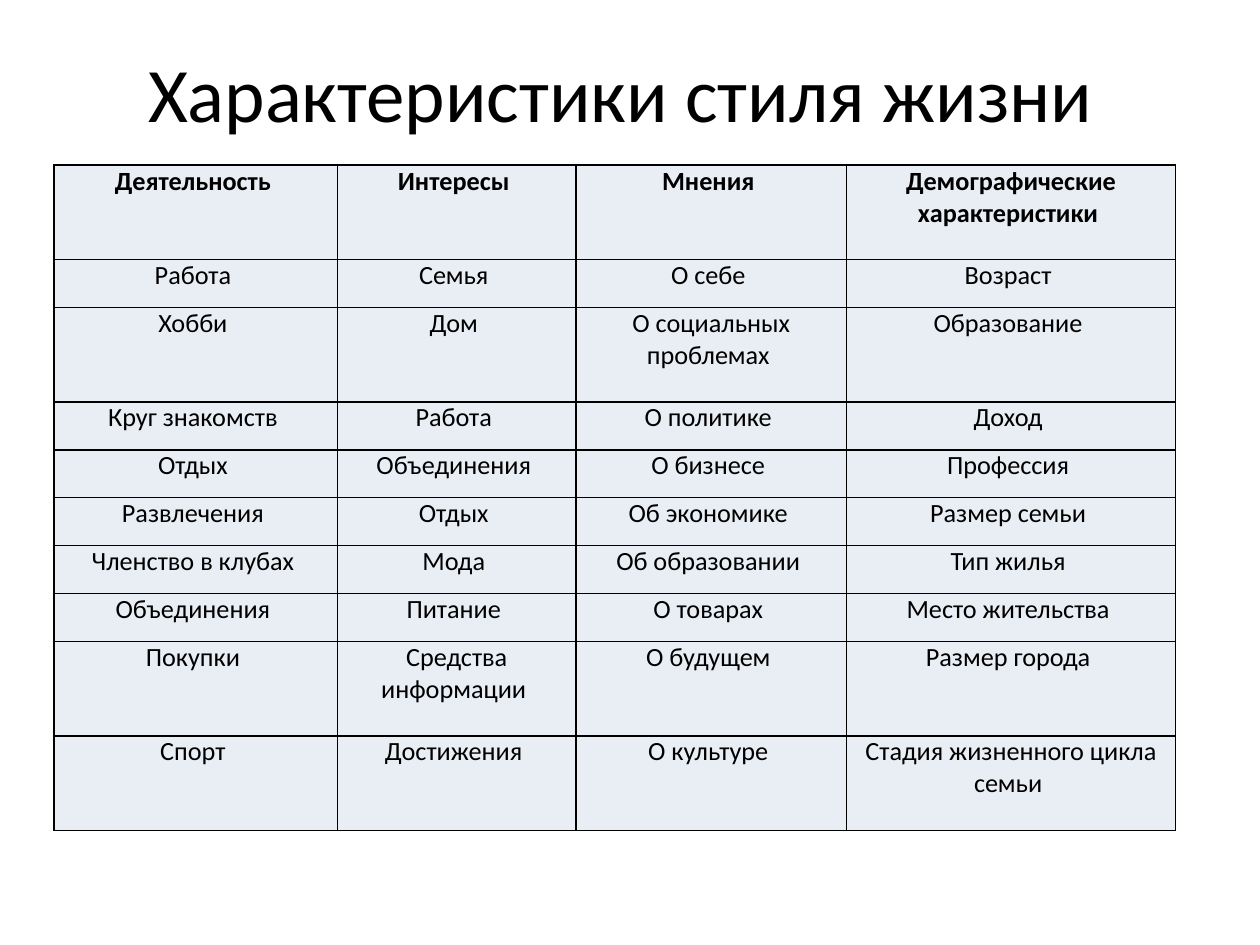
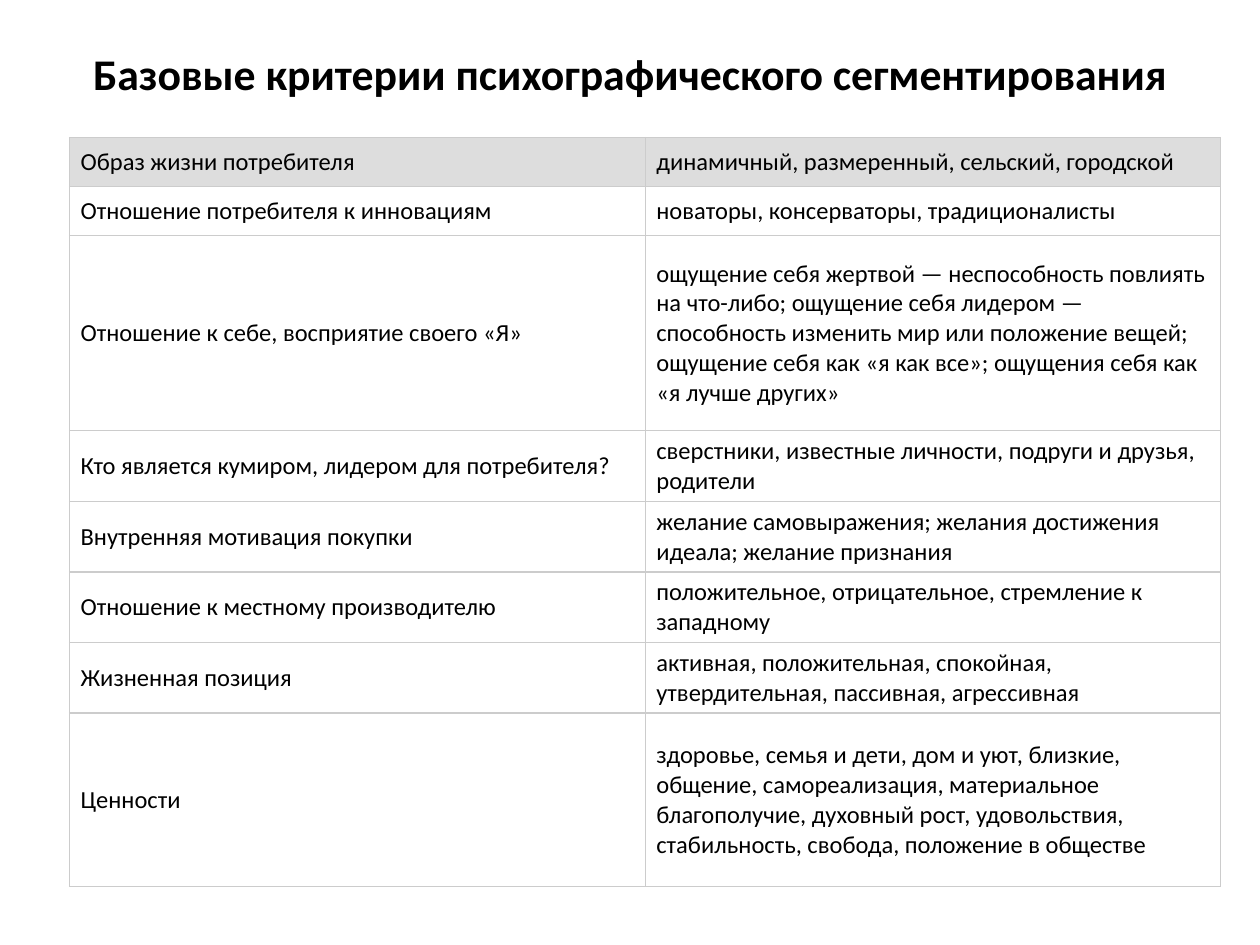
from dataclasses import dataclass

from lxml.etree import SubElement
from pptx import Presentation
from pptx.dml.color import RGBColor as RGB
from pptx.enum.text import MSO_ANCHOR as ANCHOR, PP_ALIGN as ALIGN
from pptx.oxml.ns import qn
from pptx.util import Inches, Pt


@dataclass(frozen=True)
class Theme:
    font: str = "Calibri"
    text: str = "000000"
    grid_dark: str = "000000"
    grid_light: str = "CCCCCC"
    cell_blue: str = "E9EDF4"
    head_grey: str = "DDDDDD"
    title_large: int = 44
    title_small: int = 25
    lifestyle_size: int = 15
    criteria_size: int = 14


theme = Theme()


def write(tf, text, size, bold, align, anchor):
    tf.text = text
    tf.word_wrap = True
    tf.vertical_anchor = anchor
    p = tf.paragraphs[0]
    p.alignment = align
    font = p.runs[0].font
    font.name, font.size, font.bold = theme.font, Pt(size), bold
    font.color.rgb = RGB.from_string(theme.text)


def border(cell, color, width):
    tc_pr = cell._tc.get_or_add_tcPr()
    for side in ("lnL", "lnR", "lnT", "lnB"):
        ln = SubElement(tc_pr, qn(f"a:{side}"), w=str(Pt(width)))
        fill = SubElement(ln, qn("a:solidFill"))
        SubElement(fill, qn("a:srgbClr"), val=color)


lifestyle = [
    ("Деятельность", "Интересы", "Мнения", "Демографические характеристики"),
    ("Работа", "Семья", "О себе", "Возраст"),
    ("Хобби", "Дом", "О социальных проблемах", "Образование"),
    ("Круг знакомств", "Работа", "О политике", "Доход"),
    ("Отдых", "Объединения", "О бизнесе", "Профессия"),
    ("Развлечения", "Отдых", "Об экономике", "Размер семьи"),
    ("Членство в клубах", "Мода", "Об образовании", "Тип жилья"),
    ("Объединения", "Питание", "О товарах", "Место жительства"),
    ("Покупки", "Средства информации", "О будущем", "Размер города"),
    ("Спорт", "Достижения", "О культуре", "Стадия жизненного цикла семьи"),
]

criteria = [
    ("Образ жизни потребителя", "динамичный, размеренный, сельский, городской"),
    ("Отношение потребителя к инновациям", "новаторы, консерваторы, традиционалисты"),
    ("Отношение к себе, восприятие своего «Я»",
     "ощущение себя жертвой — неспособность повлиять на что-либо; "
     "ощущение себя лидером — способность изменить мир или положение вещей; "
     "ощущение себя как «я как все»; ощущения себя как «я лучше других»"),
    ("Кто является кумиром, лидером для потребителя?",
     "сверстники, известные личности, подруги и друзья, родители"),
    ("Внутренняя мотивация покупки",
     "желание самовыражения; желания достижения идеала; желание признания"),
    ("Отношение к местному производителю",
     "положительное, отрицательное, стремление к западному"),
    ("Жизненная позиция",
     "активная, положительная, спокойная, утвердительная, пассивная, агрессивная"),
    ("Ценности",
     "здоровье, семья и дети, дом и уют, близкие, общение, самореализация, "
     "материальное благополучие, духовный рост, удовольствия, стабильность, "
     "свобода, положение в обществе"),
]

slides = [
    dict(title="Характеристики стиля жизни ", title_size=theme.title_large,
         title_bold=False, title_height=0.85,
         rows=[[f"{text} " for text in row] for row in lifestyle],
         left=0.43, top=1.31, widths=[2.25, 1.89, 2.15, 2.61],
         heights=[0.75, 0.38, 0.75] + [0.38] * 5 + [0.75] * 2,
         size=theme.lifestyle_size, head_bold=True, align=ALIGN.CENTER,
         anchor=ANCHOR.TOP, margins=(0.03, 0, 0.03, 0),
         grid=theme.grid_dark, line=1,
         head_fill=theme.cell_blue, body_fill=theme.cell_blue),
    dict(title="Базовые критерии психографического сегментирования",
         title_size=theme.title_small, title_bold=True, title_height=0.56,
         rows=criteria,
         left=0.55, top=1.09, widths=[4.57] * 2,
         heights=[0.39] * 2 + [1.55] + [0.56] * 4 + [1.38],
         size=theme.criteria_size, head_bold=False, align=ALIGN.LEFT,
         anchor=ANCHOR.MIDDLE, margins=(0.09, 0.02, 0.02, 0.02),
         grid=theme.grid_light, line=0.75,
         head_fill=theme.head_grey, body_fill=None),
]

prs = Presentation()
prs.slide_width, prs.slide_height = Inches(10), Inches(7.5)

for d in slides:
    s = prs.slides.add_slide(prs.slide_layouts[6])
    sp = s.shapes.add_textbox(Inches(0.5), Inches(0.3), Inches(9), Inches(d["title_height"]))
    write(sp.text_frame, d["title"], d["title_size"], d["title_bold"],
          ALIGN.CENTER, ANCHOR.MIDDLE)

    widths, heights = d["widths"], d["heights"]
    table = s.shapes.add_table(
        len(heights), len(widths), Inches(d["left"]), Inches(d["top"]),
        Inches(sum(widths)), Inches(sum(heights))).table
    table.first_row = table.horz_banding = False
    for column, width in zip(table.columns, widths):
        column.width = Inches(width)

    for i, (row, height) in enumerate(zip(table.rows, heights)):
        row.height = Inches(height)
        head = i == 0
        fill = d["head_fill"] if head else d["body_fill"]
        for cell, text in zip(row.cells, d["rows"][i]):
            write(cell.text_frame, text, d["size"], head and d["head_bold"],
                  d["align"], d["anchor"])
            cell.vertical_anchor = d["anchor"]
            (cell.margin_left, cell.margin_top,
             cell.margin_right, cell.margin_bottom) = map(Inches, d["margins"])
            border(cell, d["grid"], d["line"])
            if fill:
                cell.fill.solid()
                cell.fill.fore_color.rgb = RGB.from_string(fill)
            else:
                cell.fill.background()

prs.save("out.pptx")
